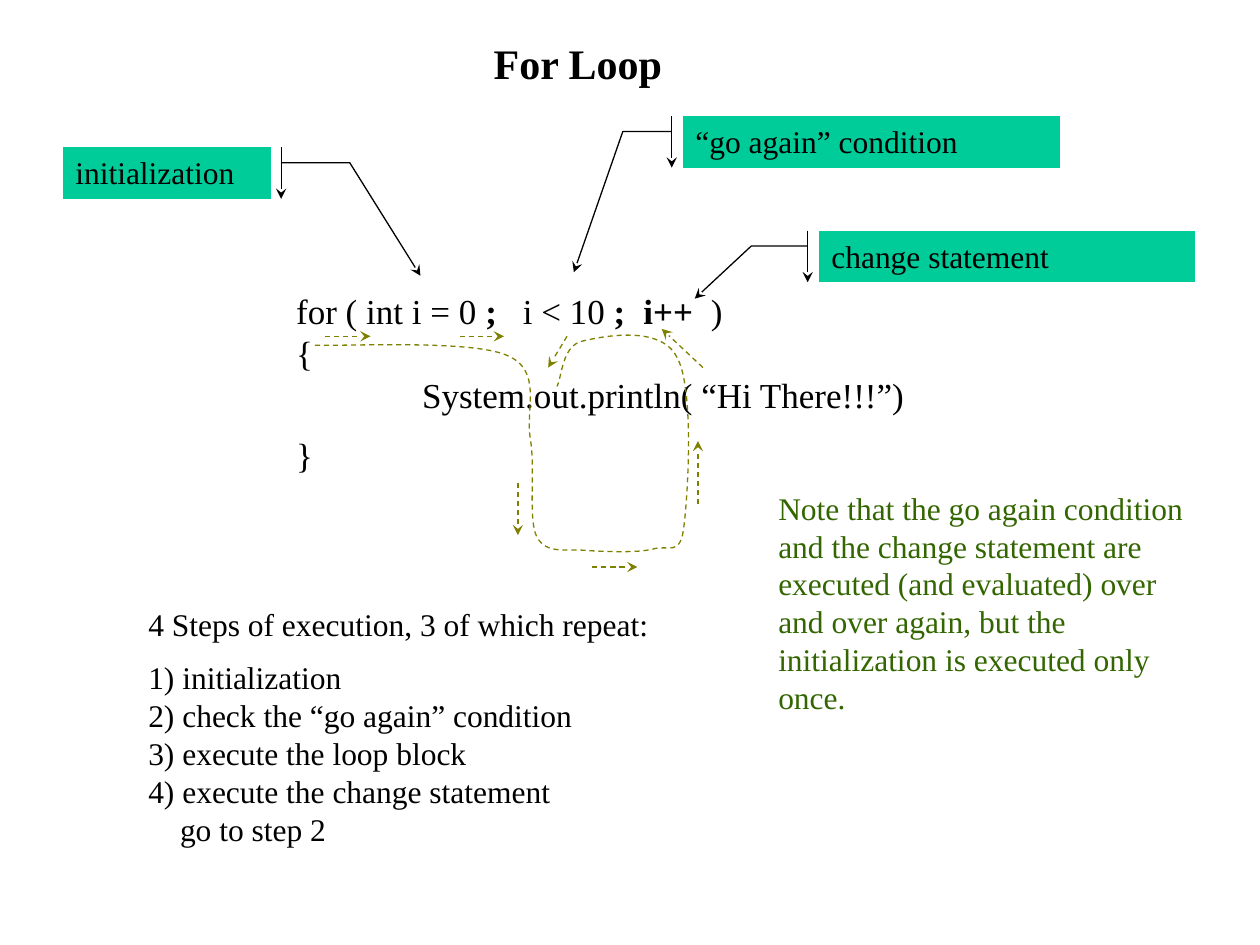
from pptx import Presentation
from pptx.dml.color import RGBColor
from pptx.enum.dml import MSO_LINE
from pptx.enum.shapes import MSO_CONNECTOR, MSO_SHAPE
from pptx.enum.text import MSO_ANCHOR, PP_ALIGN
from pptx.oxml.ns import qn
from pptx.util import Cm, Pt
from lxml.etree import SubElement

FONT = "Times New Roman"
BLACK, TEAL, OLIVE, GREEN = "000000", "00CC99", "808000", "336600"

CALLOUTS = [  # text, box, leader as y, x fractions of the box
    ("initialization", (1.27, 2.97, 4.19, 1.04),
     (0.3, 1.05, 0.3, 1.38, 2.49, 1.72)),
    ("“go again” condition", (13.77, 2.34, 7.59, 1.04),
     (0.3, -0.03, 0.3, -0.16, 3.03, -0.29)),
    ("change statement", (16.51, 4.65, 7.59, 1.04),
     (0.3, -0.03, 0.3, -0.18, 1.32, -0.33)),
]
STEPS = ["1) initialization", "2) check the “go again” condition",
         "3) execute the loop block", "4) execute the change statement"]
FLOW_ARROWS = [
    (5.59, 4.88, 6.5, 4.88), (2.92, 0.23, 3.81, 0.23),
    (4.09, 3.18, 4.09, 4.24), (7.72, 3.61, 7.72, 2.34),
    (7.82, 0.86, 6.99, 0.08), (5.08, 0.23, 4.7, 0.86),
    (0.2, 0.23, 1.12, 0.23),
]
FLOW_CURVE = [  # start, then two control points and an end for each bend
    (0, 0.41),
    (0.64, 0.43), (3.15, 0.3), (3.86, 0.61),
    (4.6, 0.91), (4.24, 1.68), (4.34, 2.29),
    (4.45, 2.9), (4.29, 3.89), (4.47, 4.27),
    (4.67, 4.65), (5.11, 4.5), (5.49, 4.55),
    (5.89, 4.57), (6.5, 4.6), (6.81, 4.52),
    (7.14, 4.42), (7.37, 4.7), (7.44, 4.04),
    (7.52, 3.4), (7.65, 1.24), (7.29, 0.64),
    (6.96, 0), (5.79, 0.23), (5.38, 0.33),
    (4.98, 0.43), (4.98, 1.04), (4.88, 1.24),
]


def rgb(value):
    return RGBColor.from_string(value)


def add_run(p, text, size, color=BLACK, bold=False):
    r = p.add_run()
    r.text = text
    r.font.name, r.font.size, r.font.bold = FONT, Pt(size), bold
    r.font.color.rgb = rgb(color)


def add_text_box(s, box):
    tf = s.shapes.add_textbox(*map(Cm, box)).text_frame
    tf.word_wrap = True
    return tf


def add_paragraph(tf, text, size, before=0, indent=0):
    p = tf.add_paragraph()
    p.space_before = Pt(before)
    if indent:
        p._p.get_or_add_pPr().set("marL", str(Cm(indent)))
    add_run(p, text, size)


def style_line(sp, color, dashed=False, arrow=True):
    sp.line.color.rgb = rgb(color)
    sp.line.width = Pt(0.75)
    if dashed:
        sp.line.dash_style = MSO_LINE.DASH
    if arrow:
        ln = sp.line._get_or_add_ln()
        SubElement(ln, qn("a:tailEnd"), type="stealth")


def add_title(s, box):
    p = add_text_box(s, box).paragraphs[0]
    p.alignment = PP_ALIGN.CENTER
    add_run(p, "For Loop", 24, bold=True)


def add_callout(s, text, box, leader):
    sp = s.shapes.add_shape(MSO_SHAPE.LINE_CALLOUT_2_ACCENT_BAR, *map(Cm, box))
    for i, value in enumerate(leader):
        sp.adjustments[i] = value
    sp.shadow.inherit = False
    sp.fill.solid()
    sp.fill.fore_color.rgb = rgb(TEAL)
    style_line(sp, BLACK)
    tf = sp.text_frame
    tf.word_wrap = True
    tf.vertical_anchor = MSO_ANCHOR.TOP
    p = tf.paragraphs[0]
    p.alignment = PP_ALIGN.LEFT
    add_run(p, text, 18)


def add_code(s, box):
    tf = add_text_box(s, box)
    p = tf.paragraphs[0]
    tabs = SubElement(p._p.get_or_add_pPr(), qn("a:tabLst"))
    for pos in (4.57, 7, 8.36):
        SubElement(tabs, qn("a:tab"), pos=str(Cm(pos)), algn="l")
    for text, bold in [("for ( int i = 0 ", False), (";\t", True),
                       ("i < 10 ", False), (";\ti++\t", True), (")", False)]:
        add_run(p, text, 20, bold=bold)
    add_paragraph(tf, "{", 20)
    add_paragraph(tf, "System.out.println( “Hi There!!!”)", 20, indent=2.54)
    add_paragraph(tf, "}", 20, before=10)


def add_flow(s, left, top):
    """Draw the dashed path of execution and the arrows along it."""
    def at(x, y):
        return Cm(left + x), Cm(top + y)

    start, *rest = [at(x, y) for x, y in FLOW_CURVE]
    builder = s.shapes.build_freeform(*start)
    builder.add_line_segments(rest, close=False)
    sp = builder.convert_to_shape()
    bend_points(sp)
    sp.shadow.inherit = False
    sp.fill.background()
    style_line(sp, OLIVE, dashed=True, arrow=False)

    for x1, y1, x2, y2 in FLOW_ARROWS:
        line = s.shapes.add_connector(MSO_CONNECTOR.STRAIGHT,
                                      *at(x1, y1), *at(x2, y2))
        style_line(line, OLIVE, dashed=True)
        SubElement(line._element.spPr, qn("a:effectLst"))


def bend_points(sp):
    """Turn each three line segments of a freeform into one Bézier curve."""
    outline = next(sp._element.iter(qn("a:pathLst")))[0]
    segments = outline.findall(qn("a:lnTo"))
    for i in range(0, len(segments), 3):
        curve = SubElement(outline, qn("a:cubicBezTo"))
        for segment in segments[i:i + 3]:
            curve.append(segment[0])
            outline.remove(segment)


def add_steps(s, box):
    tf = add_text_box(s, box)
    add_run(tf.paragraphs[0], "4 Steps of execution, 3 of which repeat:", 18)
    for i, step in enumerate(STEPS):
        add_paragraph(tf, step, 18, before=0 if i else 9)
    add_paragraph(tf, "go to step 2", 18, indent=0.64)


def add_note(s, box):
    p = add_text_box(s, box).paragraphs[0]
    add_run(p, "Note that the go again condition and the change statement are "
               "executed (and evaluated) over and over again, but the "
               "initialization is executed only once.", 18, GREEN)


def main():
    prs = Presentation()
    prs.slide_width, prs.slide_height = Cm(25.4), Cm(19.05)
    s = prs.slides.add_slide(prs.slide_layouts[6])
    add_code(s, (5.72, 5.72, 16.51, 4.11))
    for text, box, leader in CALLOUTS:
        add_callout(s, text, box, leader)
    add_steps(s, (2.74, 12.07, 11, 5.26))
    add_flow(s, 6.35, 6.55)
    add_note(s, (15.44, 9.73, 8.89, 4.83))
    add_title(s, (5.72, 0.64, 11.86, 1.27))
    prs.save("out.pptx")


if __name__ == "__main__":
    main()
